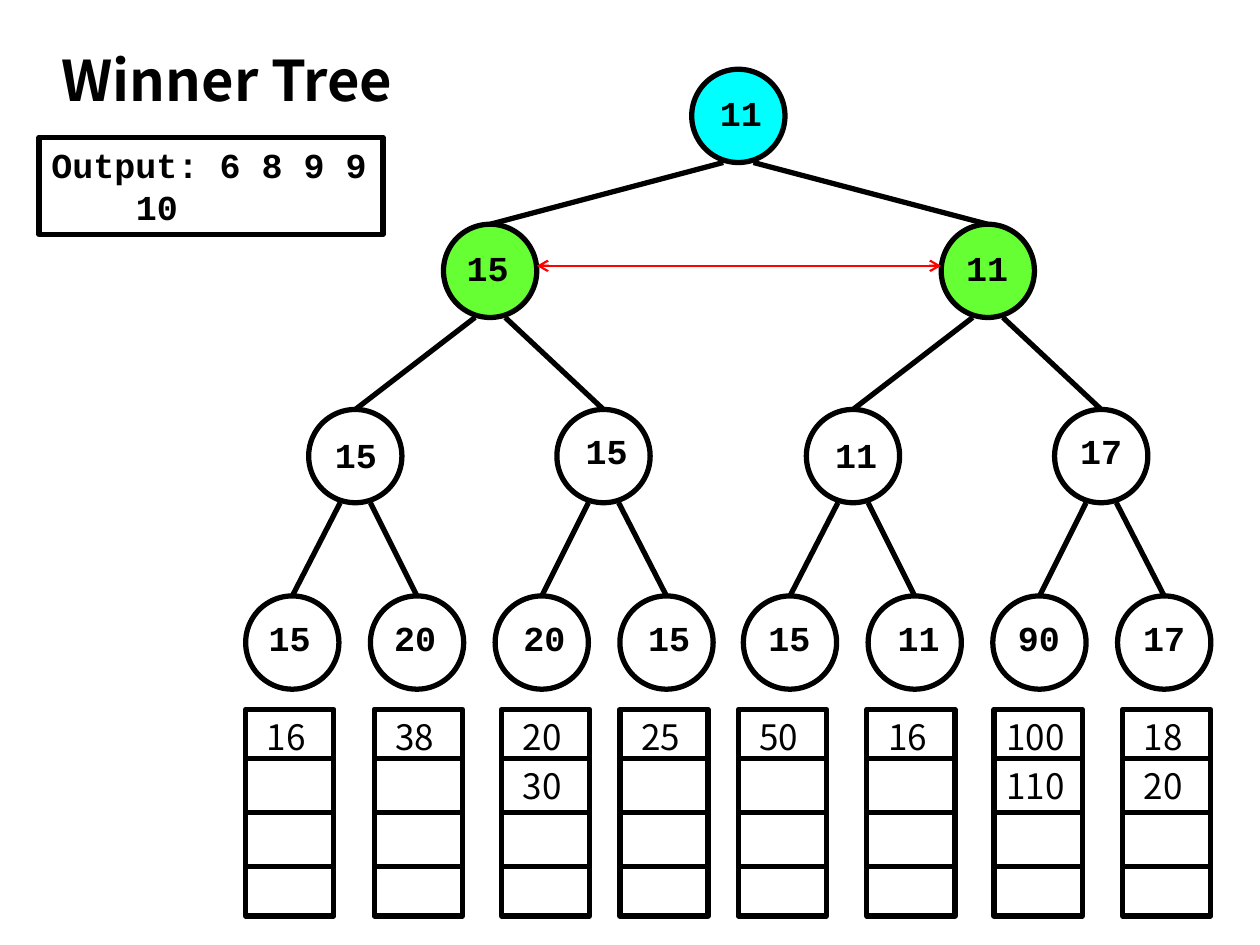
"""Build the winner tree slide with its output so far and its input runs."""
from typing import NamedTuple, Optional

from lxml.etree import SubElement
from pptx import Presentation
from pptx.dml.color import RGBColor
from pptx.enum.shapes import MSO_CONNECTOR, MSO_SHAPE
from pptx.enum.text import MSO_ANCHOR, MSO_AUTO_SIZE, PP_ALIGN
from pptx.oxml.ns import qn
from pptx.util import Pt

EMU_PER_PX = 9144
COLORS = {"ink": "000000", "root": "00FFFF", "match": "66FF33", "compare": "FF0000"}
MONO = "Courier New"
SANS = "Noto Sans CJK KR"
NODE_SIZE = 74
EDGE_GAP = 12
RUN_TOP, RUN_WIDTH, RUN_HEIGHT = 563, 70, 164
DIVIDERS = (602, 645, 688)


class Node(NamedTuple):
    value: str
    label_left: int
    label_width: int
    label_drop: int = 11


class Level(NamedTuple):
    first: int
    last: int
    top: int
    fill: Optional[str]
    nodes: tuple

    def left(self, index: int) -> int:
        steps = max(len(self.nodes) - 1, 1)
        return round(self.first + (self.last - self.first) * index / steps)


class InputRun(NamedTuple):
    left: int
    values: tuple


LEVELS = (
    Level(549, 549, 55, "root", (Node("11", 558, 60, 13),)),
    Level(352, 747, 178, "match", (Node("15", 360, 54, 13), Node("11", 755, 57, 13))),
    Level(245, 837, 325, None, (
        Node("15", 253, 59, 14), Node("15", 445, 73),
        Node("11", 648, 63, 14), Node("17", 836, 76))),
    Level(195, 887, 473, None, (
        Node("15", 195, 70), Node("20", 297, 65), Node("20", 398, 68), Node("15", 500, 62),
        Node("15", 594, 65), Node("11", 695, 68), Node("90", 789, 71), Node("17", 891, 66))),
)

INPUT_RUNS = (
    InputRun(195, ("16",)), InputRun(297, ("38",)),
    InputRun(398, ("20", "30")), InputRun(492, ("25",)),
    InputRun(586, ("50",)), InputRun(688, ("16",)),
    InputRun(789, ("100", "110")), InputRun(891, ("18", "20")),
)


def px(length: int) -> int:
    return length * EMU_PER_PX


def color(name: str) -> RGBColor:
    return RGBColor.from_string(COLORS[name])


def draw_outline(page, kind, left: int, top: int, width: int, height: int,
                 fill: Optional[str] = None) -> None:
    shape = page.shapes.add_shape(kind, px(left), px(top), px(width), px(height))
    shape.shadow.inherit = False
    if fill:
        shape.fill.solid()
        shape.fill.fore_color.rgb = color(fill)
    else:
        shape.fill.background()
    shape.line.color.rgb = color("ink")
    shape.line.width = Pt(3)


def draw_line(page, start: tuple, end: tuple, ink: str = "ink", weight: float = 3):
    line = page.shapes.add_connector(
        MSO_CONNECTOR.STRAIGHT, px(start[0]), px(start[1]), px(end[0]), px(end[1]))
    line.line.color.rgb = color(ink)
    line.line.width = Pt(weight)
    SubElement(line._element.spPr, qn("a:effectLst"))
    return line


def draw_text(page, left: int, top: int, width: int, height: int, lines: tuple,
              font: str, size: int = 20, bold: bool = False, align=PP_ALIGN.LEFT,
              wrap: bool = True):
    box = page.shapes.add_textbox(px(left), px(top), px(width), px(height))
    frame = box.text_frame
    frame.word_wrap = wrap
    frame.auto_size = MSO_AUTO_SIZE.SHAPE_TO_FIT_TEXT
    frame.vertical_anchor = MSO_ANCHOR.TOP
    for index, line in enumerate(lines):
        para = frame.add_paragraph() if index else frame.paragraphs[0]
        para.alignment = align
        span = para.add_run()
        span.text = line
        span.font.name = font
        span.font.size = Pt(size)
        span.font.bold = bold
        span.font.color.rgb = color("ink")
    return box


def draw_level(page, level: Level) -> None:
    for index, node in enumerate(level.nodes):
        draw_outline(page, MSO_SHAPE.OVAL, level.left(index), level.top,
                     NODE_SIZE, NODE_SIZE, level.fill)
        draw_text(page, node.label_left, level.top + node.label_drop, node.label_width, 44,
                  (node.value,), MONO, bold=True, align=PP_ALIGN.CENTER)


def draw_edges(page, parents: Level, children: Level) -> None:
    radius = NODE_SIZE // 2
    for index in range(len(children.nodes)):
        side = EDGE_GAP if index % 2 else -EDGE_GAP
        draw_line(page, (children.left(index) + radius, children.top),
                  (parents.left(index // 2) + radius + side, parents.top + NODE_SIZE))


def draw_input_run(page, run: InputRun) -> None:
    draw_outline(page, MSO_SHAPE.RECTANGLE, run.left, RUN_TOP, RUN_WIDTH, RUN_HEIGHT)
    for height in DIVIDERS:
        draw_line(page, (run.left, height), (run.left + RUN_WIDTH, height))
    for value, top in zip(run.values, (RUN_TOP, *DIVIDERS)):
        inset, width = (0, 71) if len(value) > 2 else (7, 56)
        draw_text(page, run.left + inset, top, width, 44, (value,), SANS)


def draw_output(page) -> None:
    box = draw_text(page, 31, 109, 273, 77, ("Output: 6 8 9 9", "10"), MONO,
                    bold=True, wrap=False)
    box.line.color.rgb = color("ink")
    box.line.width = Pt(3)
    properties = box.text_frame.paragraphs[1]._p.get_or_add_pPr()
    properties.set("marL", str(px(67)))
    properties.set("indent", "0")


def draw_comparison(page) -> None:
    arrow = draw_line(page, (426, 211), (747, 211), "compare", 1.25)
    outline = arrow.line._get_or_add_ln()
    for end in ("a:headEnd", "a:tailEnd"):
        SubElement(outline, qn(end), type="arrow")


def main() -> None:
    deck = Presentation()
    deck.slide_width, deck.slide_height = px(1000), px(750)
    page = deck.slides.add_slide(deck.slide_layouts[6])
    for level in LEVELS:
        draw_level(page, level)
    for parents, children in zip(LEVELS, LEVELS[1:]):
        draw_edges(page, parents, children)
    for run in INPUT_RUNS:
        draw_input_run(page, run)
    draw_text(page, 39, 31, 336, 64, ("Winner Tree",), SANS, size=32, bold=True)
    draw_output(page)
    draw_comparison(page)
    deck.save("out.pptx")


if __name__ == "__main__":
    main()
